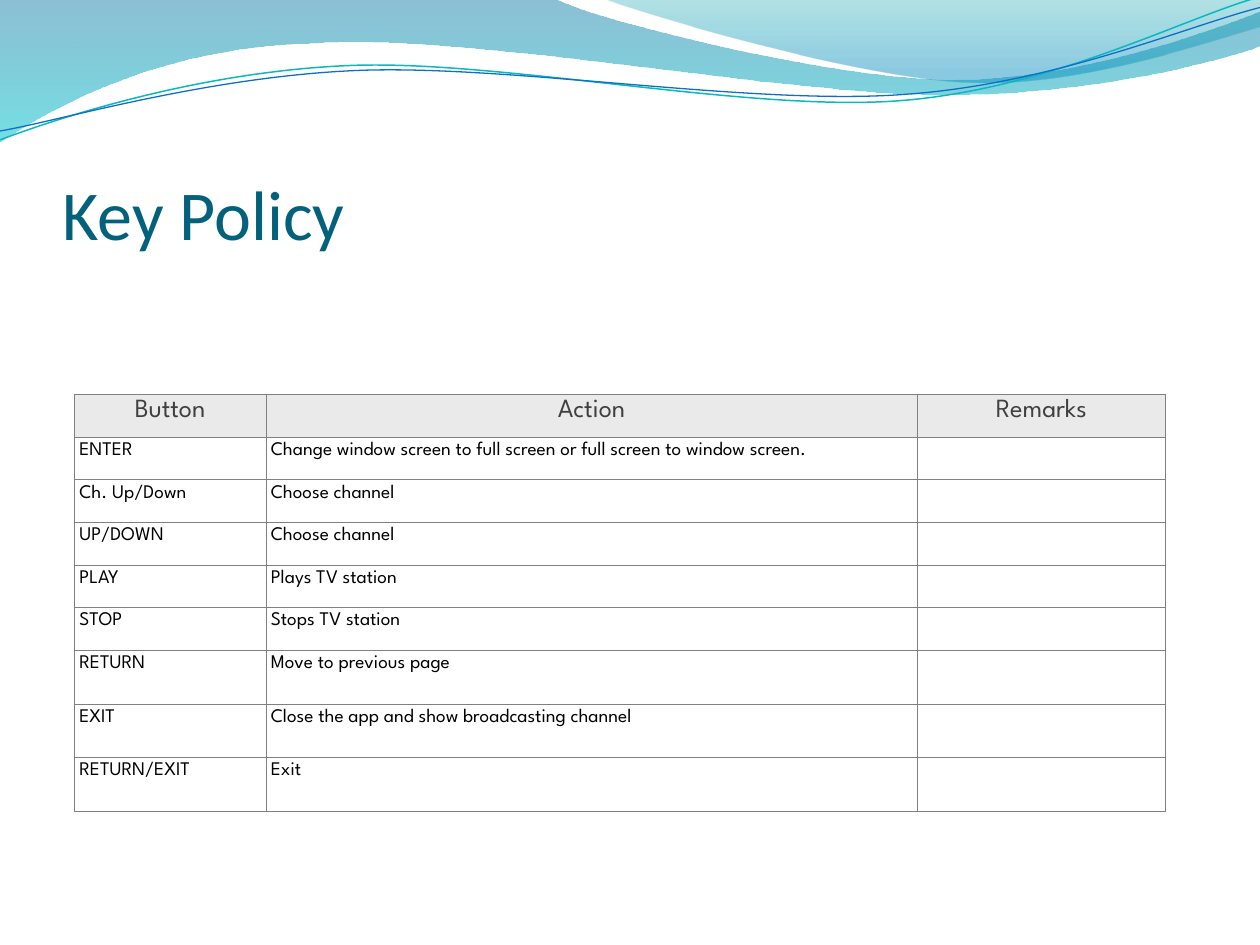
from math import cos, radians, sin
from lxml.etree import SubElement
from pptx import Presentation
from pptx.dml.color import RGBColor
from pptx.enum.text import MSO_ANCHOR, PP_ALIGN
from pptx.oxml.ns import qn
from pptx.util import Inches, Pt

TITLE = RGBColor(0x04, 0x61, 0x7B)
BLUE = RGBColor(0x00, 0x74, 0xA1)
CYAN = RGBColor(0x00, 0xC6, 0xCF)
TEAL = RGBColor(0x00, 0xA1, 0xA9)
SKY = RGBColor(0x00, 0x8B, 0xBF)
AQUA = RGBColor(0x0A, 0xB8, 0xBF)
ROYAL = RGBColor(0x0F, 0x6F, 0xC6)
HEAD = RGBColor(0xEA, 0xEA, 0xEA)
GREY = RGBColor(0x40, 0x40, 0x40)
EDGE = RGBColor(0x80, 0x80, 0x80)
WHITE = RGBColor(0xFF, 0xFF, 0xFF)
BLACK = RGBColor(0x00, 0x00, 0x00)
TILT = 2.7

prs = Presentation()
prs.slide_width, prs.slide_height = Inches(10), Inches(7.5)
slide = prs.slides.add_slide(prs.slide_layouts[6])


def turn(x, y, mid):
    """Turn a point clockwise by TILT degrees about mid."""
    dx, dy, angle = x - mid[0], y - mid[1], radians(TILT)
    return (mid[0] + dx * cos(angle) - dy * sin(angle),
            mid[1] + dx * sin(angle) + dy * cos(angle))


def add_wave(parts, mid=None):
    """Draw points (2 numbers) and Bezier curves (6); with mid, as an open tilted line."""
    points = [(part[i], part[i + 1]) for part in parts for i in range(0, len(part), 2)]
    if mid:
        points = [turn(x, y, mid) for x, y in points]
    points = [(Inches(x), Inches(y)) for x, y in points]
    pen = slide.shapes.build_freeform(*points[0])
    pen.add_line_segments(points[1:], close=not mid)
    wave = pen.convert_to_shape()
    wave.shadow.inherit = False
    if mid:
        wave.rotation = 360 - TILT
    lines = iter(list(wave._element.iter(qn("a:lnTo"))))
    for part in parts[1:]:
        first = next(lines)
        if len(part) == 6:
            first.tag = qn("a:cubicBezTo")
            for _ in range(2):
                other = next(lines)
                first.append(other[0])
                other.getparent().remove(other)
    return wave


# Header bands: path, then gradient stops as (position, colour, opacity in %)
bands = [
    ([(0, 0), (4.4, -0.01), (4.76, 0.17, 6.64, 0.63, 7.58, 0.63),
      (8.53, 0.63, 9.58, 0.26, 10, 0.09), (10.01, 0.36),
      (9.83, 0.44, 8.7, 0.76, 7.46, 0.75), (6.22, 0.75, 3.82, 0.28, 2.57, 0.34),
      (1.29, 0.36, 0.46, 0.83, -0.01, 1.13)],
     [(0, BLUE, 45), (1, CYAN, 55)]),
    ([(4.79, -0.01), (5.09, 0.11, 6.82, 0.62, 7.69, 0.65),
      (8.56, 0.69, 9.61, 0.32, 10, 0.21), (10, 0)],
     [(0, TEAL, 30), (0.8, SKY, 45)]),
]
for parts, stops in bands:
    band = add_wave(parts)
    band.line.fill.background()
    band.fill.gradient()
    band.fill.gradient_angle = 270
    for stop, (place, color, _) in zip(band.fill.gradient_stops, stops):
        stop.position = place
        stop.color.rgb = color
    for tint, (_, _, alpha) in zip(band._element.spPr.iter(qn("a:srgbClr")), stops):
        SubElement(tint, qn("a:alpha"), val=str(alpha * 1000))

curves = [
    ([(0, 1.11), (0.48, 0.93, 1.58, 0.57, 2.77, 0.52),
      (3.95, 0.47, 5.93, 0.89, 7.13, 0.8), (8.33, 0.71, 9.38, 0.15, 9.98, -0.02)],
     (4.99, 0.58), AQUA, 0.85),
    ([(0, 1.04), (0.47, 0.96, 1.64, 0.61, 2.83, 0.56),
      (4.03, 0.51, 5.97, 0.84, 7.17, 0.75), (8.36, 0.67, 9.41, 0.21, 10, 0.06)],
     (5, 0.59), ROYAL, 0.75),
]
for parts, mid, color, width in curves:
    curve = add_wave(parts, mid)
    curve.fill.background()
    curve.line.color.rgb = color
    curve.line.width = Pt(width)

# Title
box = slide.shapes.add_textbox(Inches(0.5), Inches(0.77), Inches(9), Inches(1.25))
frame = box.text_frame
frame_format = {"word_wrap": True, "vertical_anchor": MSO_ANCHOR.BOTTOM,
                "margin_left": 0, "margin_right": 0,
                "margin_top": Inches(0.05), "margin_bottom": 0}
for name, value in frame_format.items():
    setattr(frame, name, value)
run = frame.paragraphs[0].add_run()
run.text = "Key Policy"
run.font.name, run.font.size = "Calibri", Pt(40)
run.font.color.rgb = TITLE

# Key table: the top row is blank and only its lower edge is drawn
rows = [
    ("", "", ""),
    ("Button", "Action", "Remarks"),
    ("ENTER", "Change window screen to full screen or full screen to window screen.", ""),
    ("Ch. Up/Down", "Choose channel", ""),
    ("UP/DOWN", "Choose channel", ""),
    ("PLAY", "Plays TV station", ""),
    ("STOP", "Stops TV station", ""),
    ("RETURN", "Move to previous page", ""),
    ("EXIT", "Close the app and show broadcasting channel", ""),
    ("RETURN/EXIT", "Exit", ""),
]
widths = [Inches(width) for width in (1.52, 5.17, 1.97)]
heights = [Inches(0.4)] + [Inches(2.03) // 6] * 6 + [Inches(1.28) // 3] * 3
table = slide.shapes.add_table(len(rows), len(widths), Inches(0.59), Inches(2.73),
                               sum(widths), sum(heights)).table
table.first_row = table.horz_banding = False
for column, width in zip(table.columns, widths):
    column.width = width
for row, height in zip(table.rows, heights):
    row.height = height

for r, texts in enumerate(rows):
    for c, text in enumerate(texts):
        cell = table.cell(r, c)
        for side in ("left", "right", "top", "bottom"):
            setattr(cell, f"margin_{side}", Inches(0.04))
        props = cell._tc.get_or_add_tcPr()
        for side in "LRTB":
            edge = SubElement(props, qn(f"a:ln{side}"), w=str(Pt(0.25)))
            if r == 0 and side != "B":
                SubElement(edge, qn("a:noFill"))
            else:
                paint = SubElement(edge, qn("a:solidFill"))
                SubElement(paint, qn("a:srgbClr"), val=str(EDGE))
        if r == 0:
            cell.fill.background()
        else:
            cell.fill.solid()
            cell.fill.fore_color.rgb = HEAD if r == 1 else WHITE
        para = cell.text_frame.paragraphs[0]
        if not text:
            SubElement(para._p, qn("a:endParaRPr"), sz="1100")
            continue
        para.alignment = PP_ALIGN.CENTER if r == 1 else PP_ALIGN.LEFT
        run = para.add_run()
        run.text = text
        run.font.name = "League Spartan"
        run.font.size = Pt(15 if r == 1 else 11)
        run.font.color.rgb = GREY if r == 1 else BLACK

prs.save("out.pptx")
